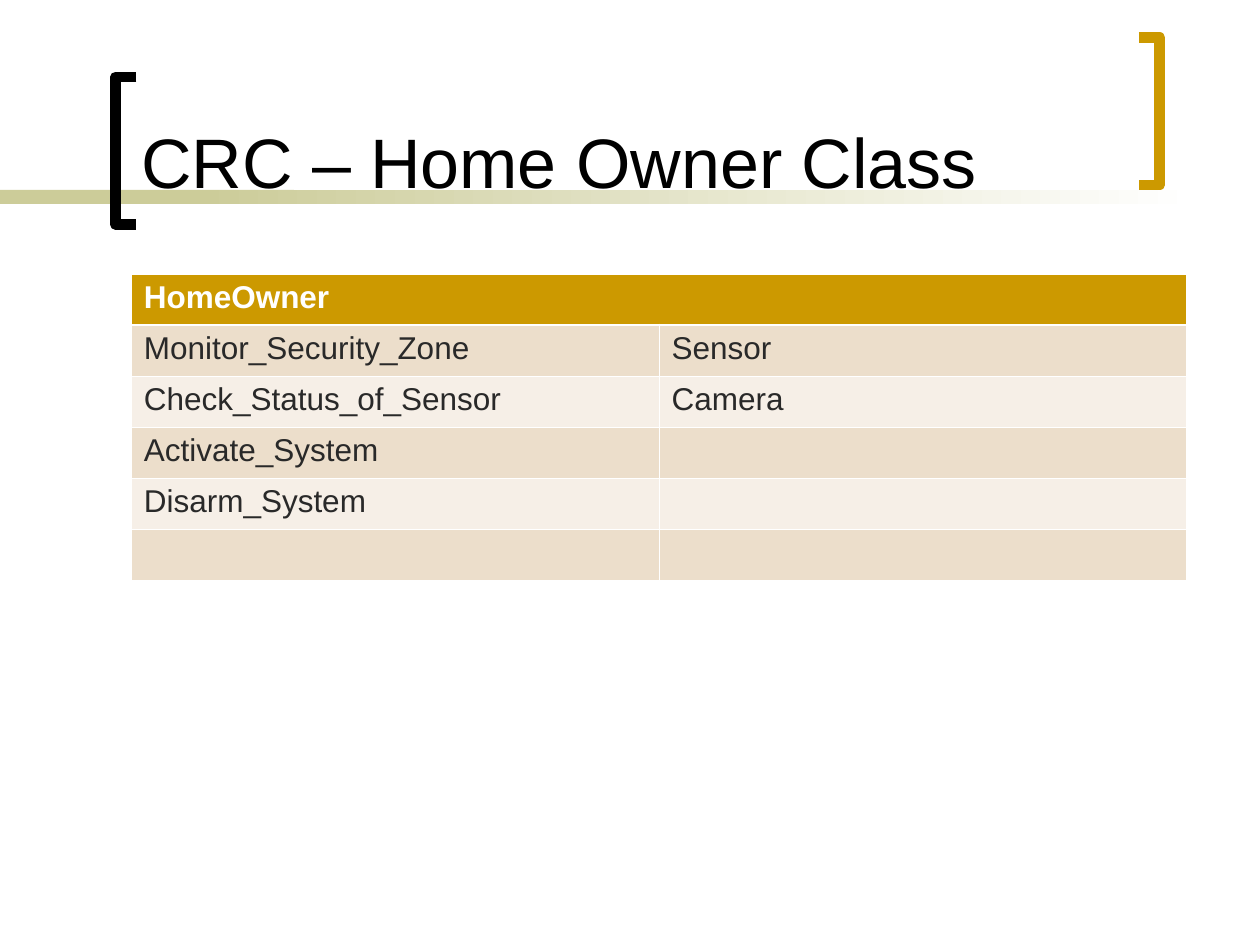
from lxml.etree import SubElement
from pptx import Presentation
from pptx.dml.color import RGBColor
from pptx.enum.shapes import MSO_SHAPE as Shape
from pptx.enum.text import MSO_ANCHOR as Anchor, PP_ALIGN as Align
from pptx.oxml.ns import qn
from pptx.util import Pt

TITLE = "CRC – Home Owner Class"
ROWS = [
    ("HomeOwner", ""),
    ("Monitor_Security_Zone", "Sensor"),
    ("Check_Status_of_Sensor", "Camera"),
    ("Activate_System", ""),
    ("Disarm_System", ""),
    ("", ""),
]
GOLD, SAND, WHITE, BLACK, GREY = "CC9900", "CCCC99", "FFFFFF", "000000", "292929"
BANDS = ("F6EFE7", "ECDECB")
ROW_H, COL_W = 29.16, 301.6
THIN, THICK = 0.45, 1.47

# Tip x, spine x, top and colour of each bracket
BRACKETS = [(78, 66, 44, BLACK), (650.75, 662.75, 21.5, GOLD)]
BRACKET_H = 84.25


def rgb(code):
    return RGBColor.from_string(code)


def write(frame, text, size=18, color=GREY, bold=False, anchor=Anchor.TOP):
    frame.word_wrap = True
    frame.vertical_anchor = anchor
    para = frame.paragraphs[0]
    para.alignment = Align.LEFT
    run = para.add_run()
    run.text = text
    font = run.font
    font.name, font.size, font.bold = "Arial", Pt(size), bold
    font.color.rgb = rgb(color)


def add_bar(shapes, left, width):
    bar = shapes.add_shape(Shape.RECTANGLE, Pt(left), Pt(108.6), Pt(width), Pt(8))
    bar.shadow.inherit = False
    bar.line.fill.background()
    return bar.fill


def add_bracket(shapes, tip, spine, top, color):
    low = top + BRACKET_H
    pen = shapes.build_freeform(Pt(tip), Pt(top))
    points = [(spine, top), (spine, low), (tip, low)]
    pen.add_line_segments([(Pt(x), Pt(y)) for x, y in points], close=False)
    form = pen.convert_to_shape()
    form.shadow.inherit = False
    form.fill.background()
    form.line.color.rgb = rgb(color)
    form.line.width = Pt(6)


def add_edges(cell, **widths):
    """Draw white cell borders; must come before the cell's fill."""
    props = cell._tc.get_or_add_tcPr()
    for side in "LRTB":
        line = SubElement(props, qn(f"a:ln{side}"), w=str(Pt(widths.get(side, THIN))))
        fill = SubElement(line, qn("a:solidFill"))
        SubElement(fill, qn("a:srgbClr"), val=WHITE)


def add_grid(shapes):
    count = len(ROWS)
    grid = shapes.add_table(count, 2, Pt(75), Pt(156.5),
                            Pt(2 * COL_W), Pt(count * ROW_H)).table
    for col in grid.columns:
        col.width = Pt(COL_W)
    for r, texts in enumerate(ROWS):
        grid.rows[r].height = Pt(ROW_H)
        head = r == 0
        edges = {0: {"B": THICK}, 1: {"T": THICK}}.get(r, {})
        for c, text in enumerate(texts):
            cell = grid.cell(r, c)
            add_edges(cell, **edges)
            cell.fill.solid()
            cell.fill.fore_color.rgb = rgb(GOLD if head else BANDS[r % 2])
            if text:
                write(cell.text_frame, text, color=WHITE if head else GREY, bold=head)
    grid.cell(0, 0).merge(grid.cell(0, 1))


def main():
    deck = Presentation()
    deck.slide_width, deck.slide_height = Pt(720), Pt(540)
    shapes = deck.slides.add_slide(deck.slide_layouts[5]).shapes

    plain = add_bar(shapes, 0, 168)
    plain.solid()
    plain.fore_color.rgb = rgb(SAND)
    fade = add_bar(shapes, 114, 570)
    fade.gradient()
    fade.gradient_angle = 0
    for stop, color in zip(fade.gradient_stops, (SAND, WHITE)):
        stop.color.rgb = rgb(color)
    for bracket in BRACKETS:
        add_bracket(shapes, *bracket)

    title = shapes.title
    title.left, title.top, title.width, title.height = map(Pt, (73.5, 8, 564, 111.5))
    write(title.text_frame, TITLE, size=40, color=BLACK, anchor=Anchor.BOTTOM)
    shapes.element.append(title.element)  # bring to front of the bars

    add_grid(shapes)
    deck.save("out.pptx")


if __name__ == "__main__":
    main()
